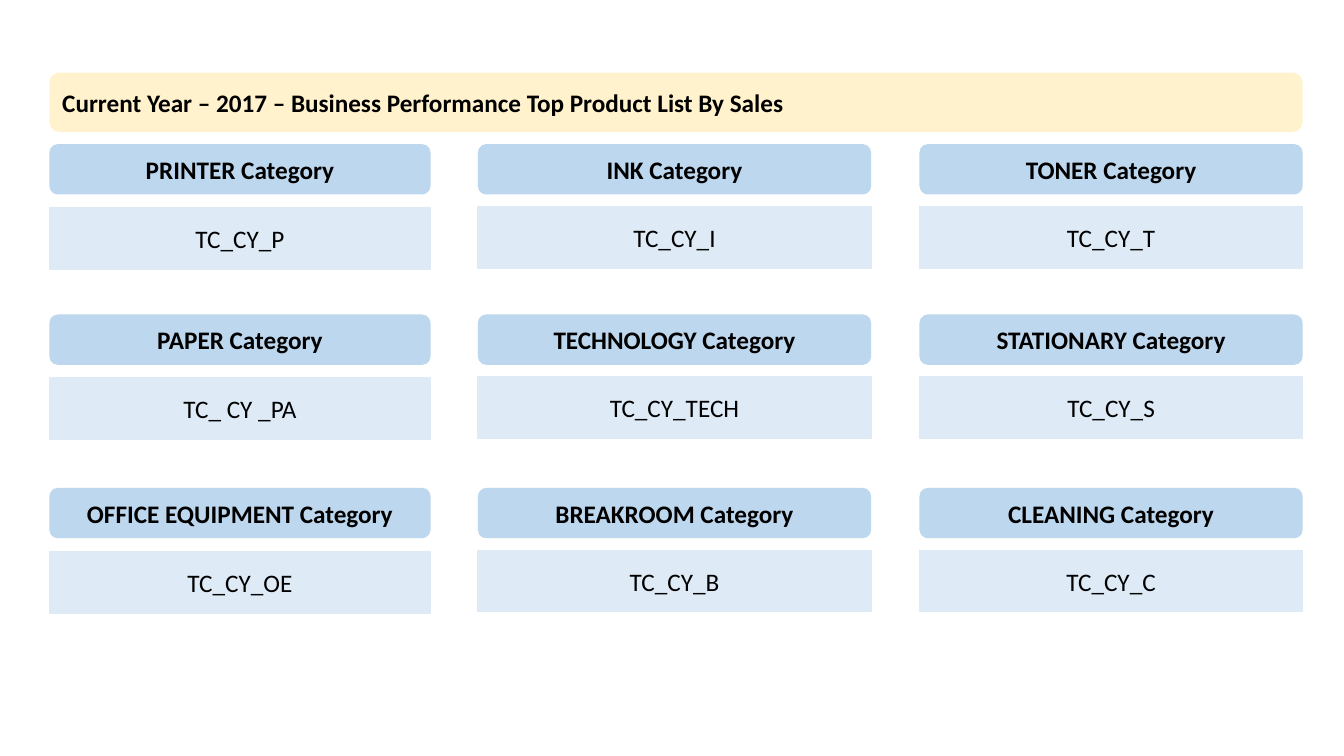
from dataclasses import dataclass

from pptx import Presentation
from pptx.dml.color import RGBColor
from pptx.enum.shapes import MSO_SHAPE
from pptx.enum.text import MSO_ANCHOR, PP_ALIGN
from pptx.shapes.autoshape import Shape
from pptx.slide import Slide
from pptx.util import Emu, Pt

SCALE = 9144  # EMU per px, 100 px to the inch
TITLE = "Current Year – 2017 – Business Performance Top Product List By Sales"
CREAM, BLUE, PALE, BLACK = "FFF2CC", "BDD7EE", "DEEBF7", "000000"


@dataclass(frozen=True)
class Column:
    left: int
    width: int
    drop: int  # from the top of a heading to the top of its code box


@dataclass(frozen=True)
class Card:
    name: str
    code: str


COLUMNS = [Column(49, 378, 63), Column(474, 390, 62), Column(912, 380, 62)]
TOPS = [143, 312, 484]
CARDS = [
    Card("PRINTER", "TC_CY_P"),
    Card("INK", "TC_CY_I"),
    Card("TONER", "TC_CY_T"),
    Card("PAPER", "TC_ CY _PA"),
    Card("TECHNOLOGY", "TC_CY_TECH"),
    Card("STATIONARY", "TC_CY_S"),
    Card("OFFICE EQUIPMENT", "TC_CY_OE"),
    Card("BREAKROOM", "TC_CY_B"),
    Card("CLEANING", "TC_CY_C"),
]


def px(count: int) -> Emu:
    return Emu(count * SCALE)


def color(code: str) -> RGBColor:
    return RGBColor.from_string(code)


def write(shape: Shape, text: str, *, bold: bool = False,
          align: PP_ALIGN = PP_ALIGN.CENTER) -> None:
    frame = shape.text_frame
    frame.word_wrap = True
    frame.vertical_anchor = MSO_ANCHOR.MIDDLE
    line = frame.paragraphs[0]
    line.alignment = align
    run = line.add_run()
    run.text = text
    run.font.name = "Calibri"
    run.font.size = Pt(18)
    run.font.bold = bold
    run.font.color.rgb = color(BLACK)


def box(slide: Slide, kind: MSO_SHAPE, left: int, top: int, width: int,
        height: int, fill: str, edge: str | None = None) -> Shape:
    shape = slide.shapes.add_shape(kind, px(left), px(top), px(width), px(height))
    shape.shadow.inherit = False
    shape.fill.solid()
    shape.fill.fore_color.rgb = color(fill)
    if edge:
        shape.line.color.rgb = color(edge)
        shape.line.width = Pt(1)
    else:
        shape.line.fill.background()
    return shape


def draw(slide: Slide, card: Card, col: Column, top: int) -> None:
    head = box(slide, MSO_SHAPE.ROUNDED_RECTANGLE, col.left, top, col.width, 50, BLUE)
    write(head, f"{card.name} Category", bold=True)
    body = box(slide, MSO_SHAPE.RECTANGLE, col.left, top + col.drop, col.width, 61,
               PALE, PALE)
    write(body, card.code)


def main() -> None:
    deck = Presentation()
    deck.slide_width, deck.slide_height = px(1333), px(750)
    slide = deck.slides.add_slide(deck.slide_layouts[6])

    # Title bar
    bar = box(slide, MSO_SHAPE.ROUNDED_RECTANGLE, 49, 72, 1243, 59, CREAM)
    write(bar, TITLE, bold=True, align=PP_ALIGN.LEFT)

    # Grid of product categories
    for index, card in enumerate(CARDS):
        row, place = divmod(index, len(COLUMNS))
        draw(slide, card, COLUMNS[place], TOPS[row])

    deck.save("out.pptx")


if __name__ == "__main__":
    main()
